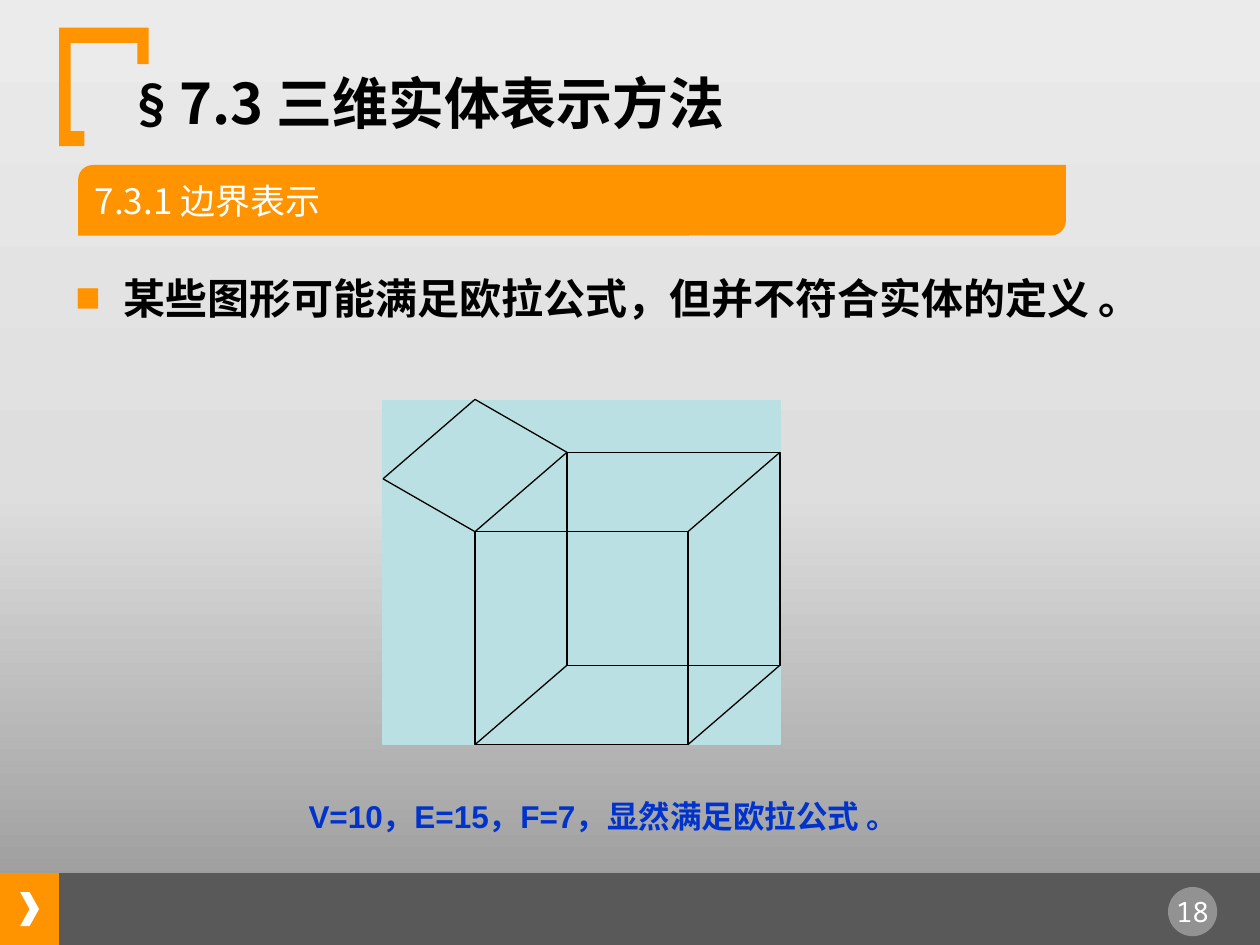
from dataclasses import dataclass

from lxml import etree
from pptx import Presentation
from pptx.dml.color import RGBColor
from pptx.enum.shapes import MSO_CONNECTOR, MSO_SHAPE
from pptx.enum.text import MSO_ANCHOR, MSO_AUTO_SIZE, PP_ALIGN
from pptx.oxml.ns import qn
from pptx.util import Inches, Pt

RECT, CHEVRON, OVAL = MSO_SHAPE.RECTANGLE, MSO_SHAPE.CHEVRON, MSO_SHAPE.OVAL
DIAGONAL_ROUND = MSO_SHAPE.ROUND_2_DIAG_RECTANGLE
STRAIGHT = MSO_CONNECTOR.STRAIGHT
LEFT, CENTER = PP_ALIGN.LEFT, PP_ALIGN.CENTER
TOP, MIDDLE = MSO_ANCHOR.TOP, MSO_ANCHOR.MIDDLE
NO_AUTOSIZE = MSO_AUTO_SIZE.NONE


@dataclass(frozen=True)
class Theme:
    accent: str = "FF9300"
    bar: str = "595959"
    white: str = "FFFFFF"
    black: str = "000000"
    panel: str = "BBE0E3"
    caption: str = "0033CC"
    background: tuple = ((0, "949494"), (48, "DEDEDE"), (100, "EBEBEB"))
    cjk: str = "Noto Sans CJK SC"
    latin: str = "Arial"
    symbol: str = "Lato"
    mono: str = "Noto Sans Mono"
    title_size: int = 32
    body_size: int = 24
    section_size: int = 20
    caption_size: int = 18
    number_size: int = 16
    line: float = 0.75


THEME = Theme()


def rgb(value):
    return RGBColor.from_string(value)


def style(shape, fill=None, line=None):
    shape.shadow.inherit = False
    if fill:
        shape.fill.solid()
        shape.fill.fore_color.rgb = rgb(fill)
    else:
        shape.fill.background()
    if line:
        shape.line.color.rgb = rgb(line)
        shape.line.width = Pt(THEME.line)
    else:
        shape.line.fill.background()
    return shape


def add_block(shapes, kind, box, fill=None, line=None):
    return style(shapes.add_shape(kind, *map(Inches, box)), fill, line)


def write(shape, runs, size, color, bold=False, align=LEFT, anchor=TOP):
    """Fill a shape with one paragraph of (text, font) runs."""
    frame = shape.text_frame
    frame.word_wrap = True
    frame.auto_size = NO_AUTOSIZE
    frame.vertical_anchor = anchor
    paragraph = frame.paragraphs[0]
    paragraph.alignment = align
    for text, font in runs:
        run = paragraph.add_run()
        run.text = text
        run.font.name, run.font.size, run.font.bold = font, Pt(size), bold
        run.font.color.rgb = rgb(color)
        east_asian = etree.SubElement(run.font._element, qn("a:ea"))
        east_asian.set("typeface", THEME.cjk)
    return paragraph


def add_text(shapes, box, *args, **kwargs):
    return write(shapes.add_textbox(*map(Inches, box)), *args, **kwargs)


def add_edge(shapes, start, end):
    edge = shapes.add_connector(STRAIGHT, *map(Inches, (*start, *end)))
    edge.line.color.rgb = rgb(THEME.black)
    edge.line.width = Pt(THEME.line)
    etree.SubElement(edge._element.spPr, qn("a:effectLst"))


def paint_background(slide):
    fill = slide.background.fill
    fill.gradient()
    fill.gradient_angle = 90
    stops = slide._element.find(".//" + qn("a:gsLst"))
    for stop in list(stops):
        stops.remove(stop)
    for position, color in THEME.background:
        stop = etree.SubElement(stops, qn("a:gs"), pos=str(position * 1000))
        etree.SubElement(stop, qn("a:srgbClr"), val=color)


def add_footer(slide, box, number):
    left, top, width, height = box
    tab = 0.47
    shapes = slide.shapes
    add_block(shapes, RECT, (left, top, tab, height), THEME.accent)
    add_block(shapes, RECT, (left + tab, top, width - tab, height), THEME.bar)
    add_block(shapes, CHEVRON, (left + 0.16, top + 0.15, 0.15, 0.27), THEME.white)

    # Page number on a translucent disc
    disc = add_block(shapes, OVAL, (left + width - 0.73, top + 0.11, 0.39, 0.39), THEME.white)
    color = disc._element.spPr.find(qn("a:solidFill"))[0]
    etree.SubElement(color, qn("a:alpha"), val="35000")
    add_text(shapes, (left + width - 0.8, top + 0.12, 0.53, 0.37),
             [(number, THEME.mono)], THEME.number_size, THEME.white, align=CENTER)


def add_heading(slide, box, runs):
    left, top, width, height = box
    # Corner bracket
    outline = [(0, 0), (0.71, 0), (0.71, 0.29), (0.62, 0.29), (0.62, 0.12),
               (0.09, 0.12), (0.09, 0.82), (0.2, 0.82), (0.2, 0.94), (0, 0.94)]
    points = [(Inches(left + x), Inches(top + y)) for x, y in outline]
    bracket = slide.shapes.build_freeform(*points[0])
    bracket.add_line_segments(points[1:], close=True)
    style(bracket.convert_to_shape(), THEME.accent)

    title = slide.shapes.title
    title.left, title.top = Inches(left + 0.52), Inches(top + 0.3)
    title.width, title.height = Inches(width - 0.52), Inches(height - 0.36)
    write(title, runs, THEME.title_size, THEME.black, bold=True, anchor=MIDDLE)


def add_section(slide, box, text):
    banner = add_block(slide.shapes, DIAGONAL_ROUND, box, THEME.accent)
    banner.adjustments[0], banner.adjustments[1] = 0.209, 0
    write(banner, [(text, THEME.cjk)], THEME.section_size, THEME.white, anchor=MIDDLE)


def add_statement(slide, box, text):
    paragraph = add_text(slide.shapes, box, [(text, THEME.latin)],
                         THEME.body_size, THEME.black, bold=True)
    paragraph.line_spacing = 1.1
    properties = paragraph._p.get_or_add_pPr()
    properties.set("marL", str(Inches(0.38)))
    properties.set("indent", str(Inches(-0.38)))
    bullet_color = etree.SubElement(properties, qn("a:buClr"))
    etree.SubElement(bullet_color, qn("a:srgbClr"), val=THEME.accent)
    etree.SubElement(properties, qn("a:buFont"), typeface=THEME.latin)
    etree.SubElement(properties, qn("a:buChar"), char="■")


def add_solid(slide, box):
    """Draw a wireframe cube with one extra face hinged on its top left edge."""
    left, top, width, height = box
    shapes = slide.shapes.add_group_shape().shapes
    add_block(shapes, RECT, box, THEME.panel, THEME.panel)

    side, depth_x, depth_y, flap = 1.69, 0.73, 0.63, 0.42
    front = (left + width - depth_x - side, top + height - side)
    back = (front[0] + depth_x, front[1] - depth_y)
    for corner in (front, back):
        add_block(shapes, RECT, (*corner, side, side), line=THEME.black)

    # Depth edges
    for dx in (0, side):
        for dy in (0, side):
            add_edge(shapes, (front[0] + dx, front[1] + dy), (back[0] + dx, back[1] + dy))

    # Hinged face
    flap_near, flap_far = ((x - depth_x, y - flap) for x, y in (front, back))
    for start, end in ((front, flap_near), (flap_near, flap_far), (flap_far, back)):
        add_edge(shapes, start, end)


def add_caption(slide, box, text):
    add_text(slide.shapes, box, [(text, THEME.latin)],
             THEME.caption_size, THEME.caption, bold=True)


def main():
    deck = Presentation()
    deck.slide_width, deck.slide_height = Inches(10), Inches(7.5)
    slide = deck.slides.add_slide(deck.slide_layouts[5])
    paint_background(slide)
    add_footer(slide, (0, 6.93, 10, 0.57), "18")
    add_heading(slide, (0.47, 0.22, 8.46, 0.94),
                [("§ ", THEME.symbol), ("7.3 三维实体表示方法", THEME.cjk)])
    add_statement(slide, (0.5, 2.07, 9.05, 0.92),
                  "某些图形可能满足欧拉公式，但并不符合实体的定义 。")
    add_section(slide, (0.62, 1.31, 7.84, 0.56), "7.3.1 边界表示")
    add_solid(slide, (3.04, 3.18, 3.15, 2.73))
    add_caption(slide, (2.35, 6.28, 5.75, 0.4),
                "V=10，E=15，F=7，显然满足欧拉公式 。")
    deck.save("out.pptx")


main()
